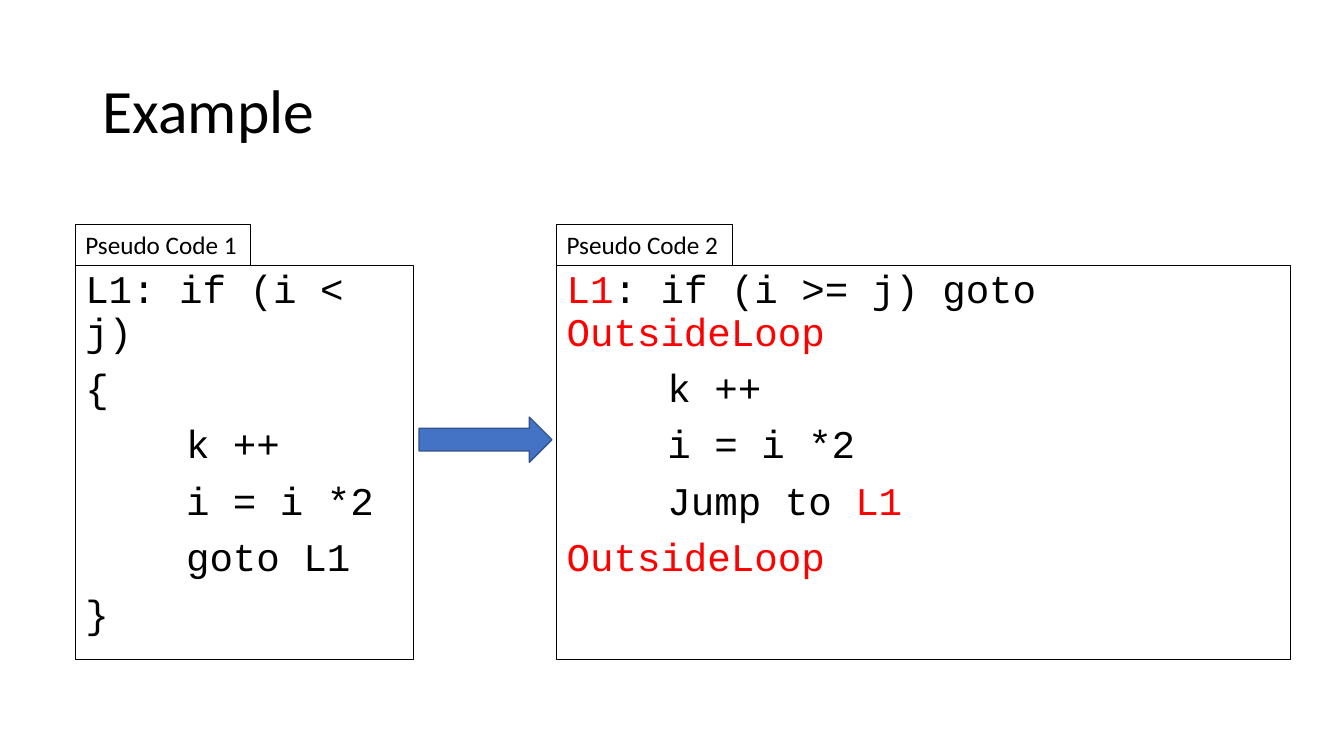
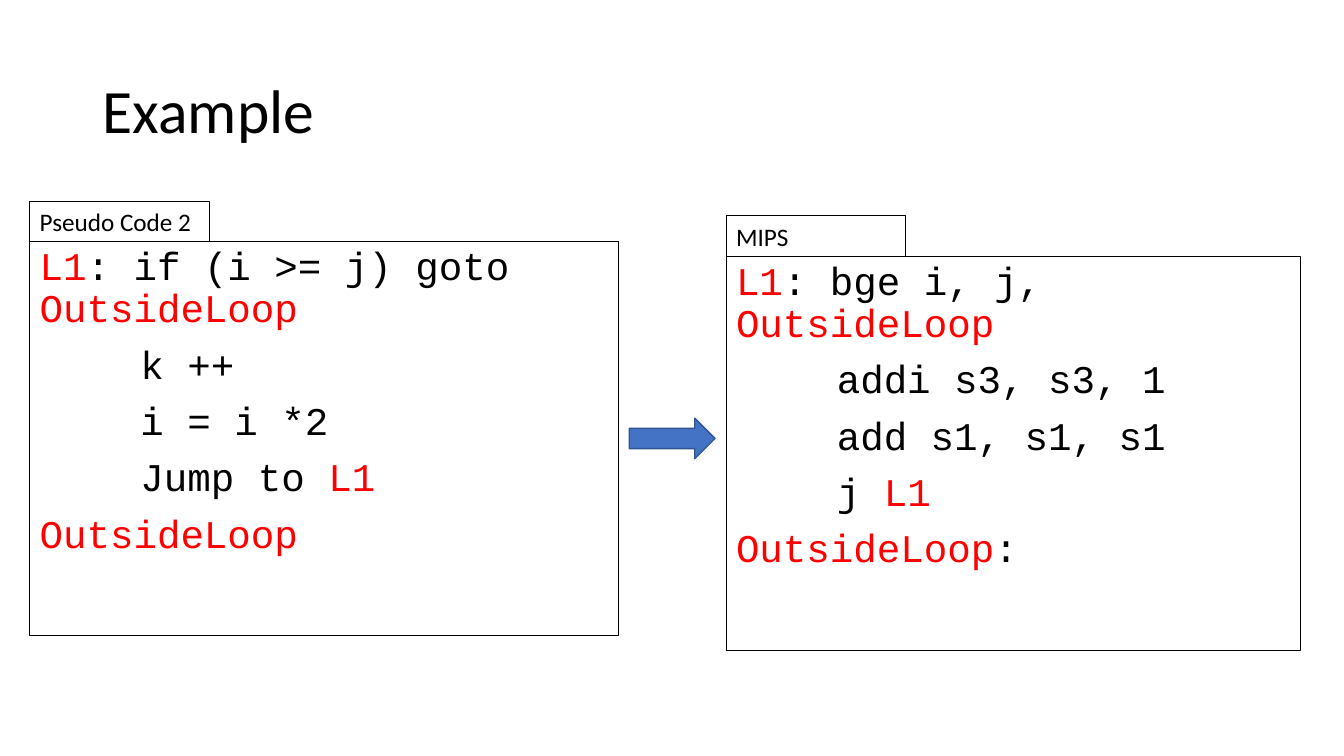
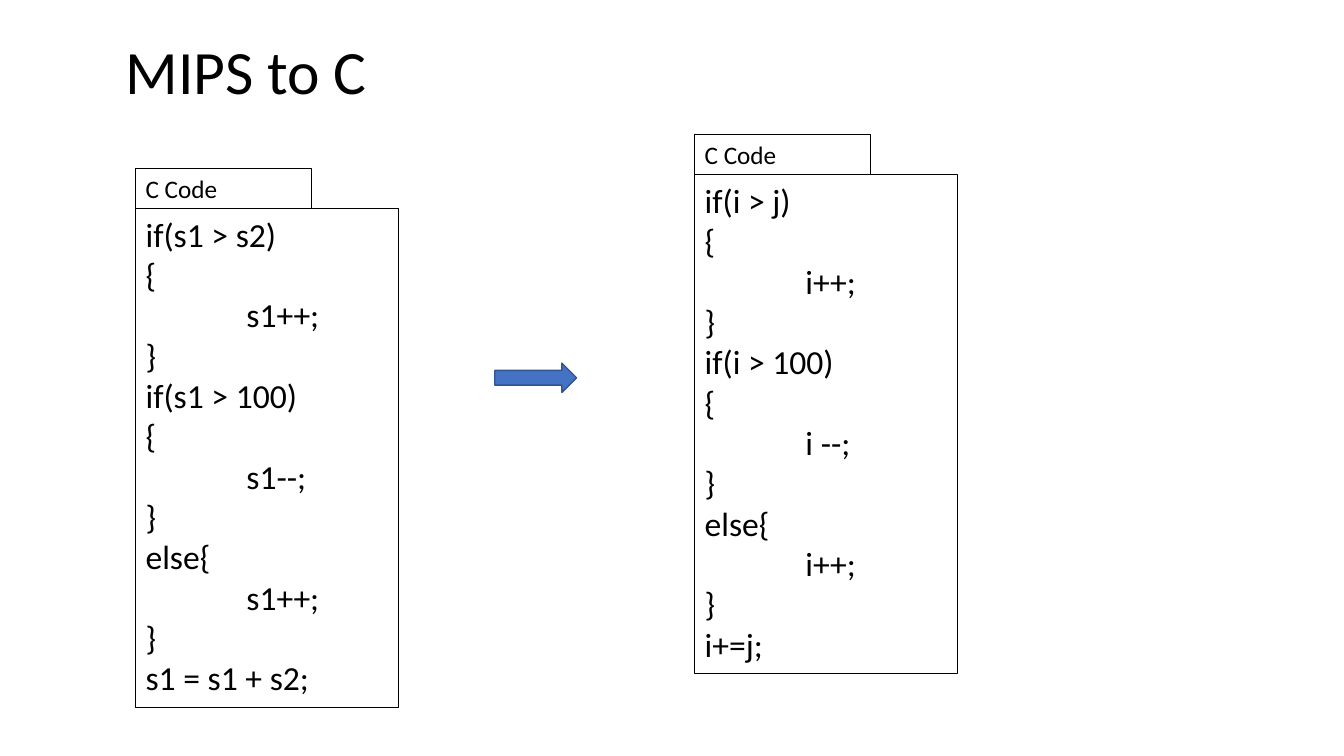
from pptx import Presentation
from pptx.dml.color import RGBColor
from pptx.enum.shapes import MSO_SHAPE as SHAPE
from pptx.enum.text import MSO_ANCHOR as ANCHOR, PP_ALIGN as ALIGN
from pptx.oxml.ns import qn
from pptx.util import Cm, Pt
from lxml.etree import SubElement

BLACK, RED, BLUE, NAVY = "000000", "FF0000", "4472C4", "325491"
LABEL_H = 1.02
TAB_STOP = Cm(2.54)

TITLE = {"font": {"name": "Calibri", "size": Pt(44)}, "para": {"line_spacing": 0.9}}
LABEL = {"font": {"name": "Calibri", "size": Pt(18)}, "para": {}}
C_CODE = {"font": {"name": "Calibri", "size": Pt(24)}, "para": {}}
MONO = {
    "font": {"name": "Courier New", "size": Pt(28)},
    "para": {"line_spacing": 0.9, "space_before": Pt(10)},
}

LOOP = ["L1: if (i < j)", "{", "\tk ++", "\ti = i *2", "\tgoto L1", "}"]
JUMPS = [
    "|L1|: if (i >= j) goto |OutsideLoop|",
    "\tk ++",
    "\ti = i *2",
    "\tJump to |L1|",
    "|OutsideLoop|",
]
MIPS = [
    "|L1|: bge i, j, |OutsideLoop|",
    "\taddi s3, s3, 1",
    "\tadd s1, s1, s1",
    "\tj |L1|",
    "|OutsideLoop|:",
]


def rgb(value):
    """Turn a hex string into a colour."""
    return RGBColor.from_string(value)


def apply(target, values):
    """Set each attribute in values on target."""
    for name, value in values.items():
        setattr(target, name, value)


def add_tab_stop(p):
    """Give a paragraph a left tab stop for indented code."""
    tabs = SubElement(p._p.get_or_add_pPr(), qn("a:tabLst"))
    SubElement(tabs, qn("a:tab"), pos=str(int(TAB_STOP)), algn="l")


def write(tf, lines, style, anchor=ANCHOR.TOP):
    """Write one paragraph per line; parts between bars are red."""
    apply(tf, {"word_wrap": True, "vertical_anchor": anchor})
    for i, line in enumerate(lines):
        p = tf.add_paragraph() if i else tf.paragraphs[0]
        apply(p, {"alignment": ALIGN.LEFT, **style["para"]})
        if line.startswith("\t"):
            add_tab_stop(p)
        for j, part in enumerate(line.split("|")):
            if part:
                r = p.add_run()
                r.text = part
                apply(r.font, style["font"])
                r.font.color.rgb = rgb(RED if j % 2 else BLACK)


def add_shape(s, kind, box, line, width, fill=None):
    """Add a preset shape without shadow."""
    sp = s.shapes.add_shape(kind, *map(Cm, box))
    sp.shadow.inherit = False
    sp.line.color.rgb = rgb(line)
    sp.line.width = Pt(width)
    if fill:
        sp.fill.solid()
        sp.fill.fore_color.rgb = rgb(fill)
    else:
        sp.fill.background()
    return sp


def add_panel(s, label, lines, style, box, label_w=4.42):
    """Add a framed code listing with a label tab on its top edge."""
    left, top = box[:2]
    tab = (left, top - LABEL_H, label_w, LABEL_H)
    for area, text, look in ((box, lines, style), (tab, [label], LABEL)):
        sp = add_shape(s, SHAPE.RECTANGLE, area, BLACK, 0.75)
        write(sp.text_frame, text, look)


def add_arrow(s, box):
    """Add a block arrow pointing right."""
    add_shape(s, SHAPE.RIGHT_ARROW, box, NAVY, 1, BLUE)


def add_slide(prs, title, left=2.34, top=1.02):
    """Add a blank slide with a title."""
    s = prs.slides.add_slide(prs.slide_layouts[6])
    tb = s.shapes.add_textbox(Cm(left), Cm(top), Cm(29.21), Cm(3.68))
    write(tb.text_frame, [title], TITLE, ANCHOR.MIDDLE)
    return s


def c_code(name, other, decrement, last):
    """Return the C listing for a pair of variables."""
    step = f"\t{name}++;"
    return [
        f"if({name} > {other})", "{", step, "}",
        f"if({name} > 100)", "{", f"\t{decrement}", "}",
        "else{", step, "}", last,
    ]


def main():
    """Build the three slides and save them."""
    prs = Presentation()
    apply(prs, {"slide_width": Cm(33.87), "slide_height": Cm(19.05)})

    s = add_slide(prs, "Example")
    add_panel(s, "Pseudo Code 1", LOOP, MONO, (1.9, 6.68, 8.53, 9.93))
    add_panel(s, "Pseudo Code 2", JUMPS, MONO, (14.03, 6.68, 18.49, 9.93))
    add_arrow(s, (10.56, 10.51, 3.35, 1.14))

    s = add_slide(prs, "Example")
    add_panel(s, "Pseudo Code 2", JUMPS, MONO, (0.75, 6.09, 14.83, 9.93), 4.52)
    add_panel(s, "MIPS", MIPS, MONO, (18.3, 6.46, 14.48, 9.93), 4.52)
    add_arrow(s, (15.86, 10.54, 2.16, 1.02))

    s = add_slide(prs, "MIPS to C", 2.91, 0.03)
    registers = c_code("s1", "s2", "s1--;", "s1 = s1 + s2;")
    variables = c_code("i", "j", "i --;", "i+=j;")
    add_panel(s, "C Code", registers, C_CODE, (3.42, 5.26, 6.63, 12.57))
    add_arrow(s, (12.47, 9.15, 2.06, 0.74))
    add_panel(s, "C Code", variables, C_CODE, (17.51, 4.41, 6.63, 12.57))

    prs.save("out.pptx")


main()
